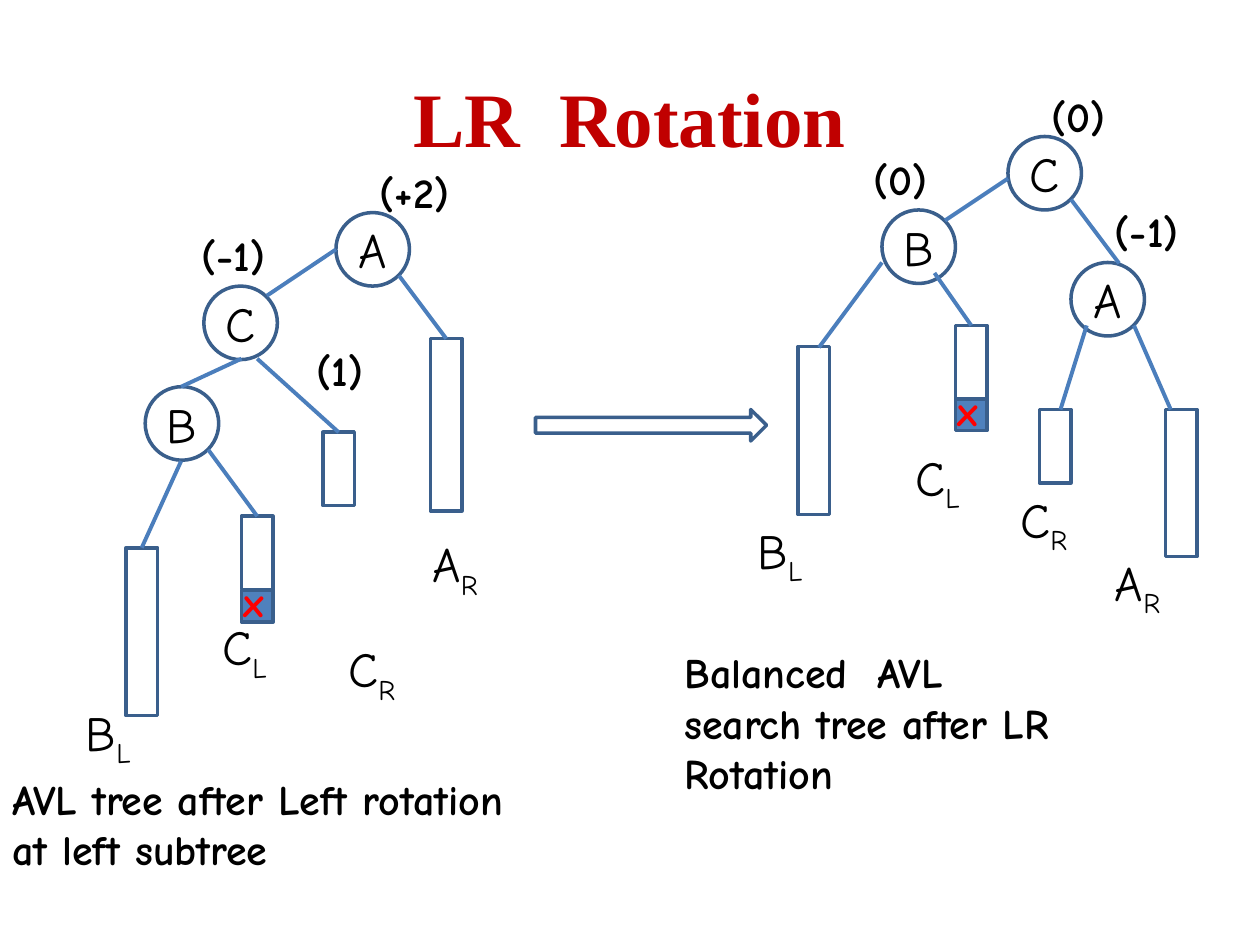
import pptx
import pptx.util
import pptx.dml.color
import pptx.enum.shapes
import pptx.enum.text
import pptx.oxml.ns
import lxml.etree

Pt = pptx.util.Pt
SHAPE = pptx.enum.shapes.MSO_SHAPE
COLOURS = {"title": "C00000", "text": "000000", "cross": "FF0000",
           "outline": "3A5F8C", "edge": "4B7EBC", "new_node": "4F81BD"}
NODE_SIZE, BAR_WIDTH = 42, 18


def colour(name):
    return pptx.dml.color.RGBColor.from_string(COLOURS[name])


def write(frame, text, subscript="", size=24, font="Comic Neue", ink="text",
          bold=True, centred=False, middle=False):
    """Fill a text frame with one paragraph, with an optional subscript."""
    frame.word_wrap = True
    anchor = pptx.enum.text.MSO_ANCHOR
    frame.vertical_anchor = anchor.MIDDLE if middle else anchor.TOP
    paragraph = frame.paragraphs[0]
    align = pptx.enum.text.PP_ALIGN
    paragraph.alignment = align.CENTER if centred else align.LEFT
    for part in filter(None, (text, subscript)):
        run = paragraph.add_run()
        run.text = part
        run.font.size, run.font.name, run.font.bold = Pt(size), font, bold
        run.font.color.rgb = colour(ink)
    if subscript:
        run._r.get_or_add_rPr().set("baseline", "-25000")


def outlined(shapes, kind, left, top, width, height, fill=None):
    """Add a preset shape with the dark blue outline."""
    shape = shapes.add_shape(kind, Pt(left), Pt(top), Pt(width), Pt(height))
    shape.shadow.inherit = False
    if fill:
        shape.fill.solid()
        shape.fill.fore_color.rgb = colour(fill)
    else:
        shape.fill.background()
    shape.line.color.rgb = colour("outline")
    shape.line.width = Pt(2)
    return shape


# Nodes: letter, left, top. Bars: left, top, height. Edges: from x, y, to x, y.
# Subtrees: letter, side, left, top. Balances: text, left, top, width.
rotated_left = {
    "nodes": [("A", 192, 121.5), ("C", 116.5, 163.5), ("B", 83, 221)],
    "bars": [(72, 313, 96), (138, 295, 42), (184.5, 247, 42), (246, 193.5, 98.5)],
    "new_node": (138, 337.5),
    "edges": [(152.5, 169, 192, 142.5), (228, 157.5, 255, 193.5),
              (138, 205, 103.5, 221), (147, 205, 193.5, 247),
              (103.5, 263.5, 81, 313), (119, 257, 147, 295)],
    "subtrees": [("B", "L", 42, 398), ("C", "L", 120, 349),
                 ("C", "R", 192, 361.5), ("A", "R", 240, 301.5)],
    "balances": [("(+2)", 210, 91.5, 90), ("(-1)", 108, 127.5, 90),
                 ("(1)", 174, 193.5, 66)],
    "caption": ("AVL tree after Left rotation at left subtree", 0, 438.5, 300, 66),
}
balanced = {
    "nodes": [("C", 576, 78), ("B", 504, 120), ("A", 612, 150)],
    "bars": [(456, 198, 96), (546, 186, 42), (594, 234, 42), (666, 234, 84)],
    "new_node": (546, 228),
    "edges": [(540, 126, 576, 102), (612, 114, 639.5, 150.5),
              (504, 150, 468, 198.5), (534, 156, 555, 186),
              (621, 186, 606, 234), (648, 186, 669, 234)],
    "subtrees": [("B", "L", 426, 294), ("C", "L", 516, 252),
                 ("C", "R", 576, 276), ("A", "R", 630, 312)],
    "balances": [("(0)", 594, 48, 60), ("(0)", 492, 84, 90), ("(-1)", 630, 114, 66)],
    "caption": ("Balanced  AVL search tree after LR Rotation", 384, 366, 228, 94),
}

deck = pptx.Presentation()
deck.slide_width, deck.slide_height = Pt(720), Pt(540)
slide = deck.slides.add_slide(deck.slide_layouts[6])

title = slide.shapes.add_textbox(Pt(36), Pt(21.6), Pt(648), Pt(90))
write(title.text_frame, "LR  Rotation", size=44, font="Times New Roman",
      ink="title", centred=True, middle=True)
outlined(slide.shapes, SHAPE.RIGHT_ARROW, 306, 234, 132, 18)

for tree in (balanced, rotated_left):
    shapes = slide.shapes.add_group_shape().shapes

    new_left, new_top = tree["new_node"]
    outlined(shapes, SHAPE.RECTANGLE, new_left, new_top, BAR_WIDTH, BAR_WIDTH,
             fill="new_node")
    for left, top, height in tree["bars"]:
        outlined(shapes, SHAPE.RECTANGLE, left, top, BAR_WIDTH, height)

    for letter, left, top in tree["nodes"]:
        node = outlined(shapes, SHAPE.OVAL, left, top, NODE_SIZE, NODE_SIZE)
        frame = node.text_frame
        frame.margin_left = frame.margin_right = 0
        frame.margin_top = frame.margin_bottom = 0
        write(frame, letter, size=28, bold=False, centred=True, middle=True)

    for ends in tree["edges"]:
        edge = shapes.add_connector(pptx.enum.shapes.MSO_CONNECTOR.STRAIGHT,
                                    *map(Pt, ends))
        edge.line.color.rgb = colour("edge")
        edge.line.width = Pt(2.25)
        lxml.etree.SubElement(edge._element.spPr, pptx.oxml.ns.qn("a:effectLst"))

    for letter, side, left, top in tree["subtrees"]:
        subtree = shapes.add_textbox(Pt(left), Pt(top), Pt(60), Pt(41))
        write(subtree.text_frame, letter, subscript=side, size=28, bold=False)

    for text, left, top, width in tree["balances"]:
        balance = shapes.add_textbox(Pt(left), Pt(top), Pt(width), Pt(36))
        write(balance.text_frame, text)

    cross = shapes.add_textbox(Pt(new_left - 6), Pt(new_top - 12), Pt(36), Pt(36))
    write(cross.text_frame, "x", ink="cross")

    text, *box = tree["caption"]
    caption = shapes.add_textbox(*map(Pt, box))
    write(caption.text_frame, text)

deck.save("out.pptx")
